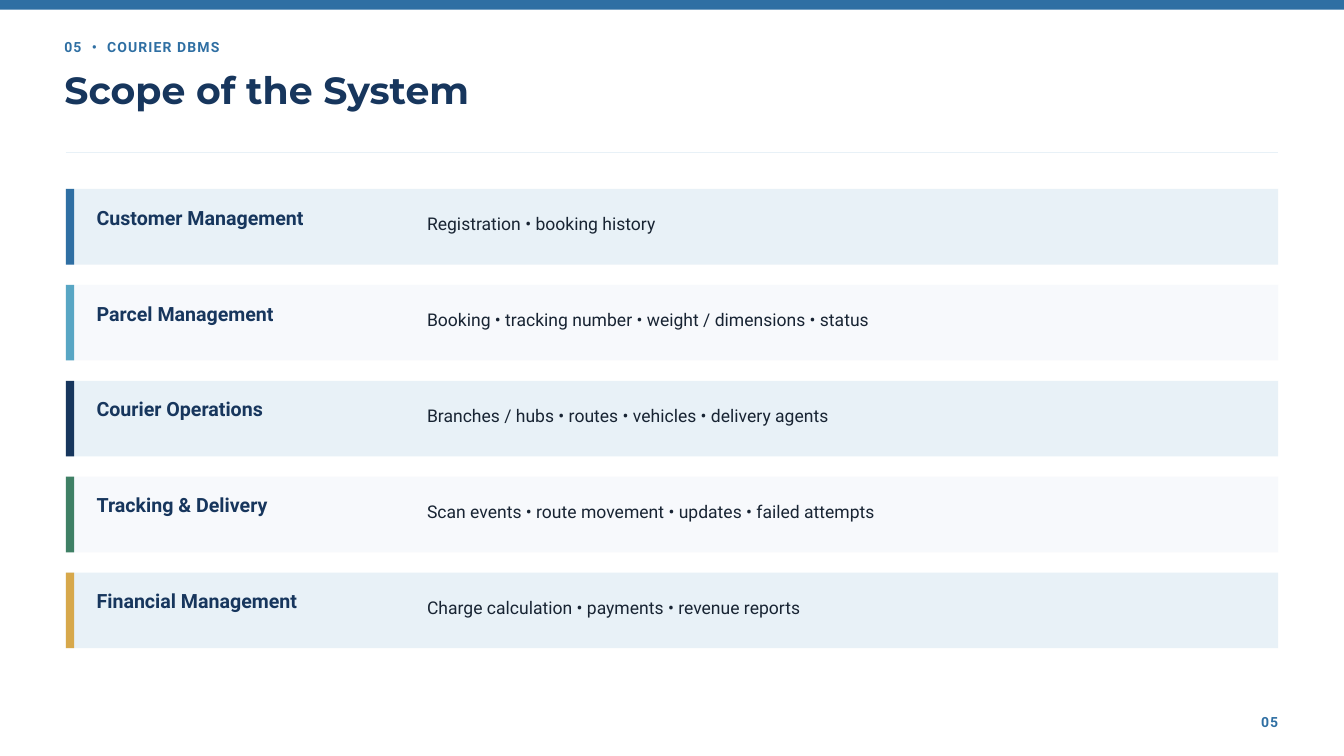
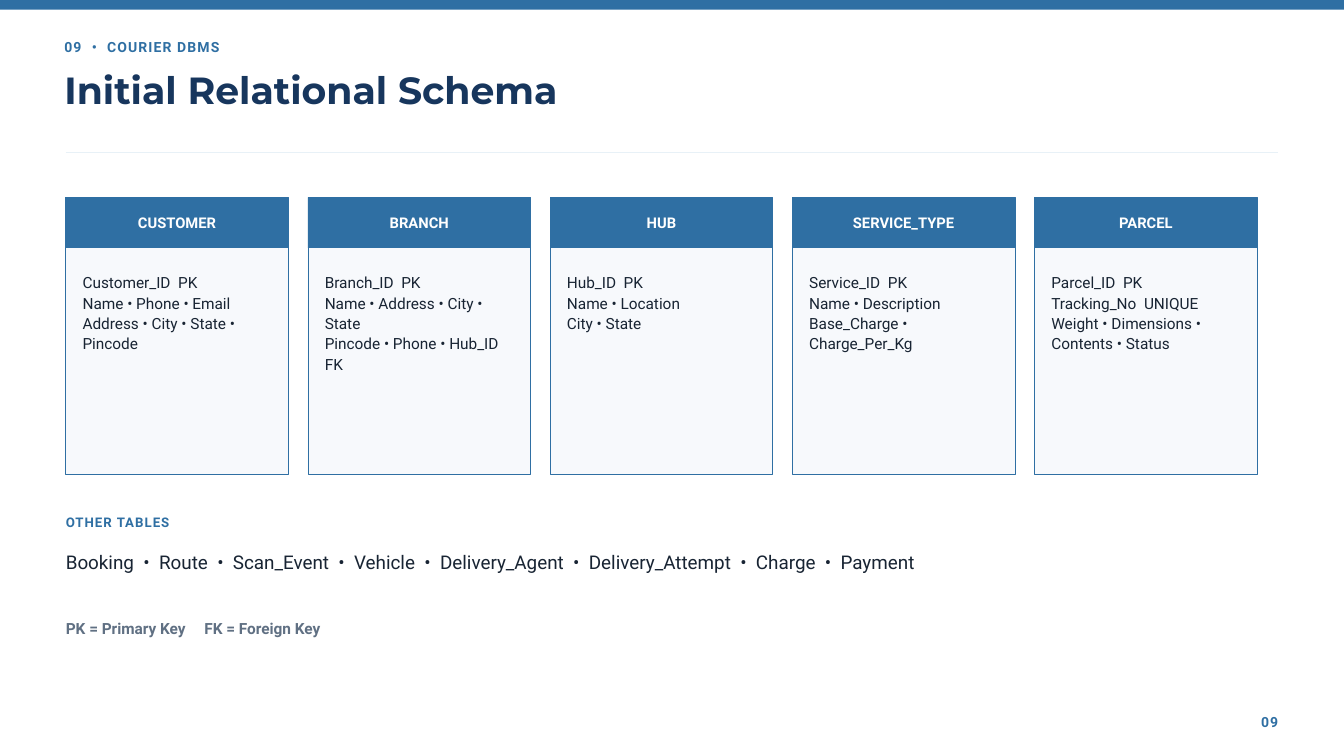
"""Build the scope and relational schema slides of a courier database deck."""
from lxml import etree
from pptx import Presentation
from pptx.dml.color import RGBColor
from pptx.enum.shapes import MSO_CONNECTOR, MSO_SHAPE
from pptx.enum.text import MSO_ANCHOR, MSO_AUTO_SIZE, PP_ALIGN
from pptx.oxml.ns import qn
from pptx.util import Pt

PX = 9525
BLUE = RGBColor(0x2F, 0x6F, 0xA3)
NAVY = RGBColor(0x17, 0x36, 0x5D)
SKY = RGBColor(0x58, 0xA6, 0xC4)
GREEN = RGBColor(0x3F, 0x80, 0x65)
GOLD = RGBColor(0xD7, 0xA8, 0x4B)
PALE = RGBColor(0xE8, 0xF1, 0xF7)
MIST = RGBColor(0xF7, 0xF9, 0xFC)
INK = RGBColor(0x18, 0x24, 0x33)
GREY = RGBColor(0x60, 0x70, 0x83)
WHITE = RGBColor(0xFF, 0xFF, 0xFF)
BODY_FONT = "Roboto"
TITLE_FONT = "Montserrat"
LEFT, RIGHT = 94, 1826


def draw_block(page, left, top, width, height, fill, outline=None):
    block = page.shapes.add_shape(MSO_SHAPE.RECTANGLE, left * PX, top * PX, width * PX, height * PX)
    block.shadow.inherit = False
    block.fill.solid()
    block.fill.fore_color.rgb = fill
    if outline is None:
        block.line.fill.background()
    else:
        block.line.color.rgb = outline
        block.line.width = Pt(0.75)


def write_text(page, place, text, size, leading, color, bold=False,
               align=PP_ALIGN.LEFT, tracking=0, font=BODY_FONT, box=None):
    left, top, width, height = [length * PX for length in place]
    if box is None:
        box = page.shapes.add_textbox(left, top, width, height)
    else:
        box.left, box.top, box.width, box.height = left, top, width, height
    frame = box.text_frame
    frame.text = text
    frame.word_wrap = True
    frame.auto_size = MSO_AUTO_SIZE.NONE
    frame.vertical_anchor = MSO_ANCHOR.TOP
    frame.margin_left = frame.margin_top = frame.margin_right = frame.margin_bottom = 0
    for para in frame.paragraphs:
        para.alignment = align
        para.line_spacing = Pt(leading)
        para.space_before = Pt(0)
        for span in para.runs:
            span.font.name = font
            span.font.size = Pt(size)
            span.font.bold = bold
            span.font.color.rgb = color
            if tracking:
                span.font._element.set("spc", str(tracking))
    return box


deck = Presentation()
deck.slide_width, deck.slide_height = 1920 * PX, 1080 * PX
title_only = deck.slide_layouts[5]

pages = []
for number, title in [("05", "Scope of the System"), ("09", "Initial Relational Schema")]:
    page = deck.slides.add_slide(title_only)
    draw_block(page, 0, 0, 1920, 14, BLUE)
    write_text(page, (92, 51, 520, 27), f"{number}  •  COURIER DBMS", 15, 21, BLUE, True, tracking=120)
    write_text(page, (92, 101, 1450, 60), title, 40.5, 44.5, NAVY, True,
               font=TITLE_FONT, box=page.shapes.title)
    rule = page.shapes.add_connector(MSO_CONNECTOR.STRAIGHT, LEFT * PX, 218 * PX, RIGHT * PX, 218 * PX)
    rule.line.color.rgb = PALE
    rule.line.width = Pt(1.5)
    etree.SubElement(rule._element.spPr, qn("a:effectLst"))
    write_text(page, (1740, 1015, 86, 27), number, 15, 21, BLUE, True, PP_ALIGN.RIGHT, 120)
    pages.append(page)
scope_page, schema_page = pages

scope_areas = [
    ("Customer Management", "Registration • booking history", BLUE),
    ("Parcel Management", "Booking • tracking number • weight / dimensions • status", SKY),
    ("Courier Operations", "Branches / hubs • routes • vehicles • delivery agents", NAVY),
    ("Tracking & Delivery", "Scan events • route movement • updates • failed attempts", GREEN),
    ("Financial Management", "Charge calculation • payments • revenue reports", GOLD),
]
for index, (area, details, accent) in enumerate(scope_areas):
    top = 270 + 137 * index
    draw_block(scope_page, LEFT, top, RIGHT - LEFT, 108, MIST if index % 2 else PALE)
    draw_block(scope_page, LEFT, top, 12, 108, accent)
    write_text(scope_page, (138, top + 18, 430, 37), area, 21, 29.4, NAVY, True)
    write_text(scope_page, (610, top + 30, 1120, 34), details, 18.8, 26.2, INK)

schema_tables = [
    ("CUSTOMER", "Customer_ID  PK\nName • Phone • Email\nAddress • City • State • Pincode"),
    ("BRANCH", "Branch_ID  PK\nName • Address • City • State\nPincode • Phone • Hub_ID  FK"),
    ("HUB", "Hub_ID  PK\nName • Location\nCity • State"),
    ("SERVICE_TYPE", "Service_ID  PK\nName • Description\nBase_Charge • Charge_Per_Kg"),
    ("PARCEL", "Parcel_ID  PK\nTracking_No  UNIQUE\nWeight • Dimensions • Contents • Status"),
]
for index, (name, fields) in enumerate(schema_tables):
    left = LEFT + 346 * index
    draw_block(schema_page, left, 282, 318, 395, MIST, BLUE)
    draw_block(schema_page, left, 282, 318, 72, BLUE)
    write_text(schema_page, (left + 20, 301, 278, 28), name, 15.8, 22, WHITE, True, PP_ALIGN.CENTER)
    write_text(schema_page, (left + 24, 388, 270, 116), fields, 16.5, 21.8, INK)

other_tables = ["Booking", "Route", "Scan_Event", "Vehicle", "Delivery_Agent",
                "Delivery_Attempt", "Charge", "Payment"]
write_text(schema_page, (LEFT, 731, 300, 25), "OTHER TABLES", 14.2, 19.9, BLUE, True, tracking=110)
write_text(schema_page, (LEFT, 783, 1500, 34), "  •  ".join(other_tables), 20.2, 26.7, INK)
key_legend = write_text(schema_page, (LEFT, 884, 700, 27),
                        "PK = Primary Key\tFK = Foreign Key", 16.5, 20.6, GREY, True)
legend_properties = key_legend.text_frame.paragraphs[0]._p.get_or_add_pPr()
tab_stops = etree.SubElement(legend_properties, qn("a:tabLst"))
etree.SubElement(tab_stops, qn("a:tab"), pos=str(198 * PX), algn="l")

deck.save("out.pptx")
